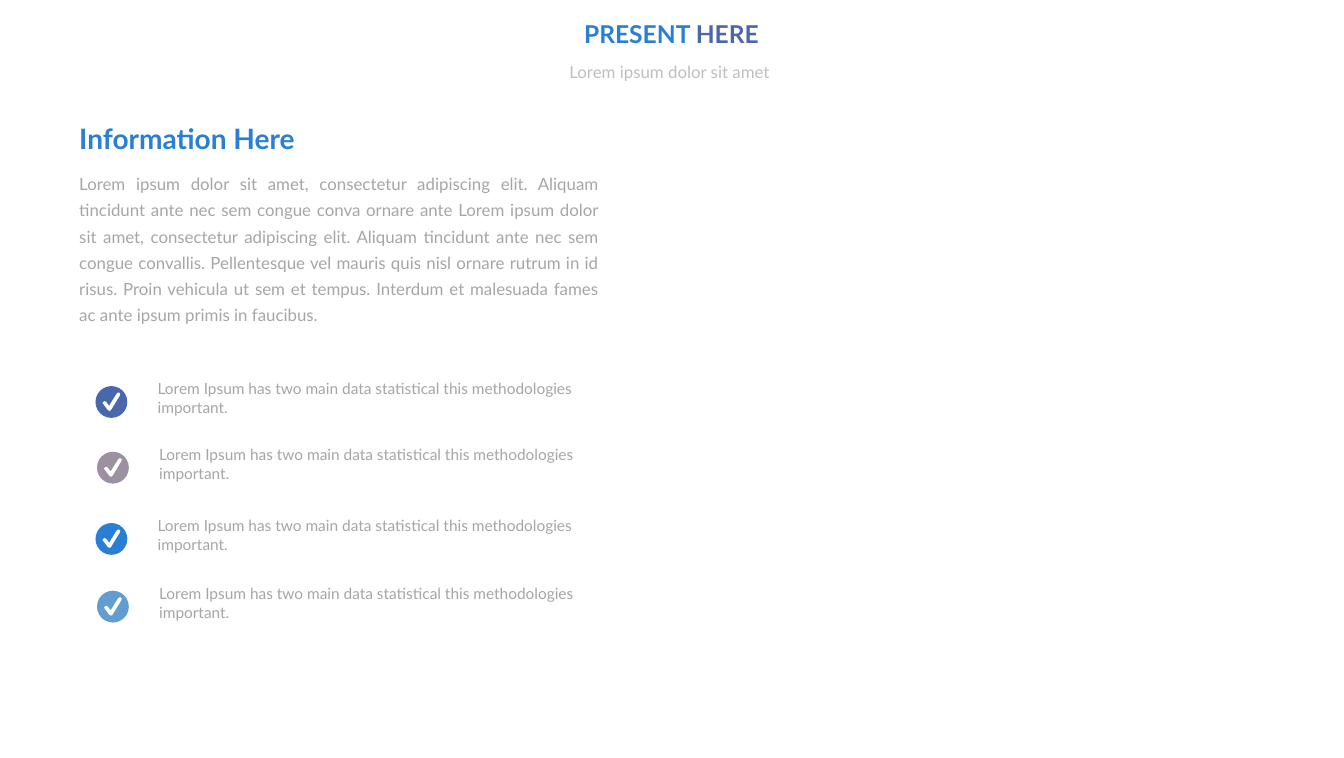
from dataclasses import dataclass

from pptx import Presentation
from pptx.dml.color import RGBColor
from pptx.enum.shapes import MSO_SHAPE as Shape
from pptx.enum.text import MSO_ANCHOR as Anchor, MSO_AUTO_SIZE as AutoSize, PP_ALIGN as Align
from pptx.oxml.xmlchemy import OxmlElement
from pptx.util import Pt

EMU_PER_PX = 9144  # 100 px to the inch


@dataclass(frozen=True)
class Theme:
    font: str = "Lato"
    blue: str = "297FD5"
    indigo: str = "4A66AC"
    mauve: str = "9D90A0"
    sky: str = "629DD1"
    white: str = "FFFFFF"
    grey: str = "A6A6A6"
    pale_grey: str = "BFBFBF"
    title_size: int = 35
    heading_size: int = 40
    body_size: int = 24
    item_size: int = 22


THEME = Theme()
INTRO = (
    "Lorem ipsum dolor sit amet, consectetur adipiscing elit. Aliquam tincidunt ante nec sem "
    "congue conva ornare ante Lorem ipsum dolor sit amet, consectetur adipiscing elit. Aliquam "
    "tincidunt ante nec sem congue convallis. Pellentesque vel mauris quis nisl ornare rutrum "
    "in id risus. Proin vehicula ut sem et tempus. Interdum et malesuada fames ac ante ipsum "
    "primis in faucibus."
)
ITEM_TEXT = "Lorem Ipsum has two main data statistical this methodologies important."
# Left and top of each badge, and its colour
ITEMS = [
    (189, 764, THEME.indigo),
    (192, 894, THEME.mauve),
    (189, 1035, THEME.blue),
    (192, 1169, THEME.sky),
]
BADGE_SIZE = 63
# Tick outline, measured from the badge's top left corner
TICK = [
    (27, 49), (25, 48), (24, 47), (15, 35), (14, 33), (16, 31), (18, 30), (21, 31),
    (27, 39), (42, 15), (44, 13), (47, 13), (49, 15), (48, 19), (31, 47), (29, 49),
]


def px(length):
    return length * EMU_PER_PX


def place(box, left, top, width, height):
    box.left, box.top, box.width, box.height = map(px, (left, top, width, height))


def format_frame(box, inset=(10, 5), anchor=Anchor.TOP, wrap=True):
    frame = box.text_frame
    frame.word_wrap = wrap
    frame.auto_size = AutoSize.SHAPE_TO_FIT_TEXT
    frame.vertical_anchor = anchor
    frame.margin_left = frame.margin_right = px(inset[0])
    frame.margin_top = frame.margin_bottom = px(inset[1])


def write(box, spans, size, bold=False, align=Align.LEFT, spacing=1.0):
    """Fill the first paragraph with (text, colour) spans."""
    para = box.text_frame.paragraphs[0]
    para.alignment = align
    para.line_spacing = spacing
    para.space_before = Pt(0)
    for text, colour in spans:
        span = para.add_run()
        span.text = text
        span.font.name = THEME.font
        span.font.size = Pt(size)
        span.font.bold = bold
        span.font.color.rgb = RGBColor.from_string(colour)


def add_text_box(page, bounds, **frame_options):
    box = page.shapes.add_textbox(*map(px, bounds))
    format_frame(box, **frame_options)
    return box


def remove_bullet(box):
    properties = box.text_frame.paragraphs[0]._p.get_or_add_pPr()
    properties.set("marL", "0")
    properties.set("indent", "0")
    properties.append(OxmlElement("a:buNone"))


def paint(shape, colour):
    shape.shadow.inherit = False
    shape.fill.solid()
    shape.fill.fore_color.rgb = RGBColor.from_string(colour)
    shape.line.fill.background()


def add_badge(page, left, top, colour):
    """Add a filled circle with a white tick."""
    circle = page.shapes.add_shape(Shape.OVAL, px(left), px(top), px(BADGE_SIZE), px(BADGE_SIZE))
    paint(circle, colour)
    outline = page.shapes.build_freeform(*TICK[0], scale=EMU_PER_PX)
    outline.add_line_segments(TICK[1:], close=True)
    paint(outline.convert_to_shape(px(left), px(top)), THEME.white)


def add_header(page):
    title = page.shapes.title
    place(title, 953, 33, 752, 69)
    format_frame(title)
    write(title, [("PRESENT ", THEME.blue), ("HERE", THEME.indigo)],
          THEME.title_size, bold=True, align=Align.CENTER)

    subtitle = add_text_box(page, (962, 96, 726, 79), inset=(27, 13), anchor=Anchor.MIDDLE)
    write(subtitle, [("Lorem ipsum dolor sit amet", THEME.pale_grey)],
          THEME.body_size, align=Align.CENTER, spacing=1.3)


def add_intro(page):
    heading = add_text_box(page, (147, 235, 454, 77), wrap=False)
    write(heading, [("Information Here", THEME.blue)], THEME.heading_size, bold=True)

    intro = add_text_box(page, (147, 327, 1047, 378))
    write(intro, [(INTRO, THEME.grey)], THEME.body_size, align=Align.JUSTIFY, spacing=1.3)


def add_item(page, body, left, top, colour):
    place(body, left + 99, top - 25, 909, 98)
    format_frame(body, inset=(24, 12))
    remove_bullet(body)
    write(body, [(ITEM_TEXT, THEME.grey)], THEME.item_size)
    add_badge(page, left, top, colour)


def main():
    deck = Presentation()
    deck.slide_width, deck.slide_height = px(2660), px(1500)
    # The comparison layout offers a title and four body placeholders
    page = deck.slides.add_slide(deck.slide_layouts.get_by_name("Comparison"))
    add_header(page)
    add_intro(page)
    for number, item in enumerate(ITEMS, start=1):
        add_item(page, page.placeholders[number], *item)
    deck.save("out.pptx")


if __name__ == "__main__":
    main()
